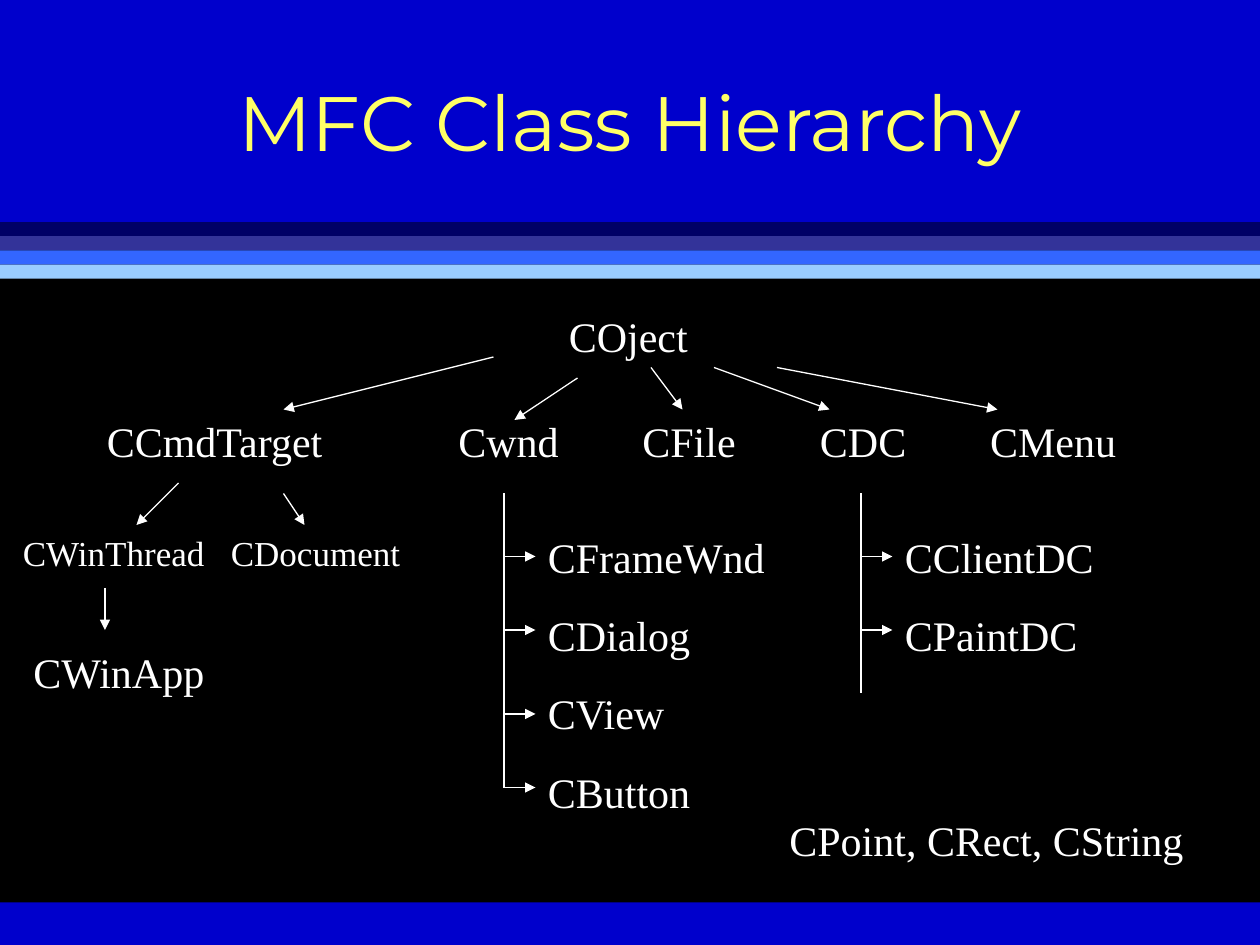
from dataclasses import dataclass
from lxml.etree import SubElement as Sub
from pptx import Presentation
from pptx.dml.color import RGBColor as RGB
from pptx.enum.shapes import MSO_CONNECTOR as Conn, MSO_SHAPE as Kind
from pptx.enum.text import MSO_ANCHOR as Anchor, MSO_AUTO_SIZE as Fit, PP_ALIGN as Align
from pptx.oxml.ns import qn
from pptx.util import Inches, Pt

COLS, ROWS = 120, 90


@dataclass(frozen=True)
class Theme:
    back: str = "969696"
    body: str = "000000"
    head: str = "0000CC"
    bands: tuple = ("000066", "333399", "3366FF", "99CCFF")
    title: str = "FFFF66"
    ink: str = "FFFFFF"
    sans: str = "Montserrat"
    serif: str = "Times New Roman"
    big: int = 44
    mid: int = 24
    small: int = 20
    gap: int = 16
    line: float = 0.75


LOOK = Theme()


def unit(n):
    return Inches(n / 12)


def apply(item, **vals):
    for key, val in vals.items():
        setattr(item, key, val)


def style(font, name, size, hue):
    apply(font, name=name, size=Pt(size))
    font.color.rgb = RGB.from_string(hue)


def block(slide, box, hue):
    shape = slide.shapes.add_shape(Kind.RECTANGLE, *map(unit, box))
    shape.shadow.inherit = False
    shape.fill.solid()
    shape.fill.fore_color.rgb = RGB.from_string(hue)
    shape.line.fill.background()


def label(slide, box, lines, size=LOOK.mid, tabs=()):
    shape = slide.shapes.add_textbox(*map(unit, box))
    frame = shape.text_frame
    apply(frame, word_wrap=True, auto_size=Fit.SHAPE_TO_FIT_TEXT)
    for i, text in enumerate(lines):
        para = frame.paragraphs[0] if i == 0 else frame.add_paragraph()
        if tabs:
            stops = Sub(para._p.get_or_add_pPr(), qn("a:tabLst"))
            for tab in tabs:
                Sub(stops, qn("a:tab"), pos=str(Inches(tab)), algn="l")
        para.text = text
        para.space_before = Pt(LOOK.gap if i else 0)
        style(para.runs[0].font, LOOK.serif, size, LOOK.ink)


def link(slide, start, end, tip=True):
    wire = slide.shapes.add_connector(Conn.STRAIGHT, *map(unit, start + end))
    wire.line.width = Pt(LOOK.line)
    wire.line.color.rgb = RGB.from_string(LOOK.ink)
    if tip:
        Sub(wire.line._get_or_add_ln(), qn("a:tailEnd"), type="triangle")
    Sub(wire._element.spPr, qn("a:effectLst"))


def fan(slide, left, top, moves):
    for x, y, dx, dy in moves:
        link(slide, (left + x, top + y), (left + x + dx, top + y + dy))


def stage(slide, wide, high):
    fill = slide.background.fill
    fill.solid()
    fill.fore_color.rgb = RGB.from_string(LOOK.back)
    edge, step = 0.235 * high, 0.015 * high
    block(slide, (0, 0.2 * high, wide, 0.8 * high), LOOK.body)
    block(slide, (0, 0.955 * high, wide, 0.045 * high), LOOK.head)
    block(slide, (0, 0, wide, edge), LOOK.head)
    for i, hue in enumerate(LOOK.bands):
        block(slide, (0, edge + i * step, wide, step), hue)


def heading(slide, box, text):
    title = slide.shapes.title
    slide.shapes._spTree.append(title._element)
    apply(title, **dict(zip(("left", "top", "width", "height"), map(unit, box))))
    title.text = text
    apply(title.text_frame, vertical_anchor=Anchor.MIDDLE, word_wrap=True)
    para = title.text_frame.paragraphs[0]
    para.alignment = Align.CENTER
    style(para.runs[0].font, LOOK.sans, LOOK.big, LOOK.title)


def roots(slide, box):
    left, top, wide, high = box
    label(slide, (left + 44, top, 16, 6), ["COject"])
    names = ["CCmdTarget", "Cwnd", "CFile", "CDC", "CMenu"]
    label(slide, (left, top + 10, wide, 6), ["\t".join(names)], tabs=(2.79, 4.25, 5.66, 7.01))
    fan(slide, left, top, [(38, 5, -20, 5), (46, 7, -6, 4), (53, 6, 3, 4),
                           (59, 6, 11, 4), (65, 6, 21, 4)])


def target(slide, box):
    left, top, wide, high = box
    label(slide, (left, top + 4, wide, 5.3), ["CWinThread\tCDocument"], LOOK.small, (1.65,))
    label(slide, (left + 1, top + 15, 24, 6), ["CWinApp"])
    fan(slide, left, top, [(16, 0, -4, 4), (26, 1, 2, 3), (9, 10, 0, 4)])


def branch(slide, box, names, marks):
    left, top, wide, high = box
    link(slide, (left, top), (left, top + high), tip=False)
    fan(slide, left, top, [(0, mark, 3, 0) for mark in marks])
    label(slide, (left + 3, top + 3, wide - 3, high - 3), names)


def main():
    deck = Presentation()
    apply(deck, slide_width=unit(COLS), slide_height=unit(ROWS))
    slide = deck.slides.add_slide(deck.slide_layouts[5])
    stage(slide, COLS, ROWS)
    heading(slide, (9, 4, 102, 15), "MFC Class Hierarchy")
    roots(slide, (9, 29, 102, 16))
    target(slide, (1, 46, 42, 21))
    branch(slide, (48, 47, 28, 28), ["CFrameWnd", "CDialog", "CView", "CButton"], (6, 13, 21, 28))
    branch(slide, (82, 47, 32, 19), ["CClientDC", "CPaintDC"], (6, 13))
    label(slide, (74, 77, 43, 6), ["CPoint, CRect, CString"])
    deck.save("out.pptx")


if __name__ == "__main__":
    main()
